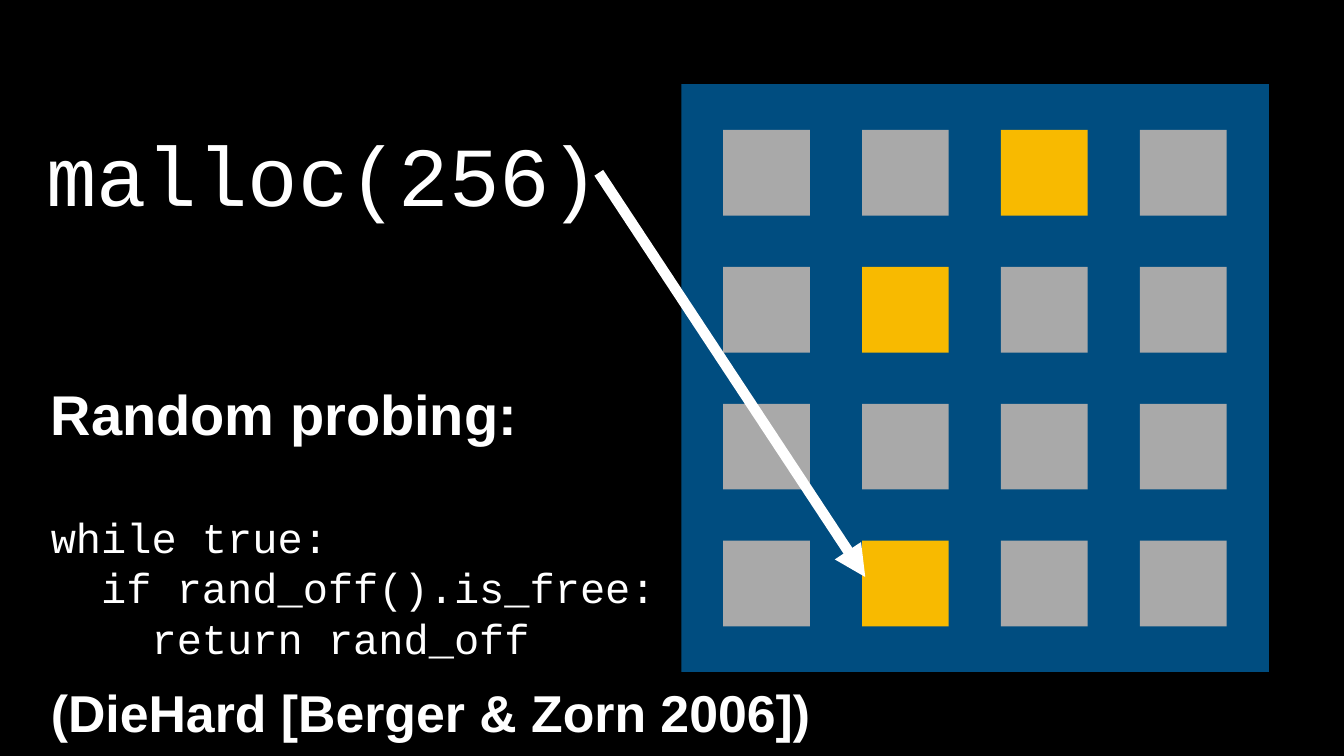
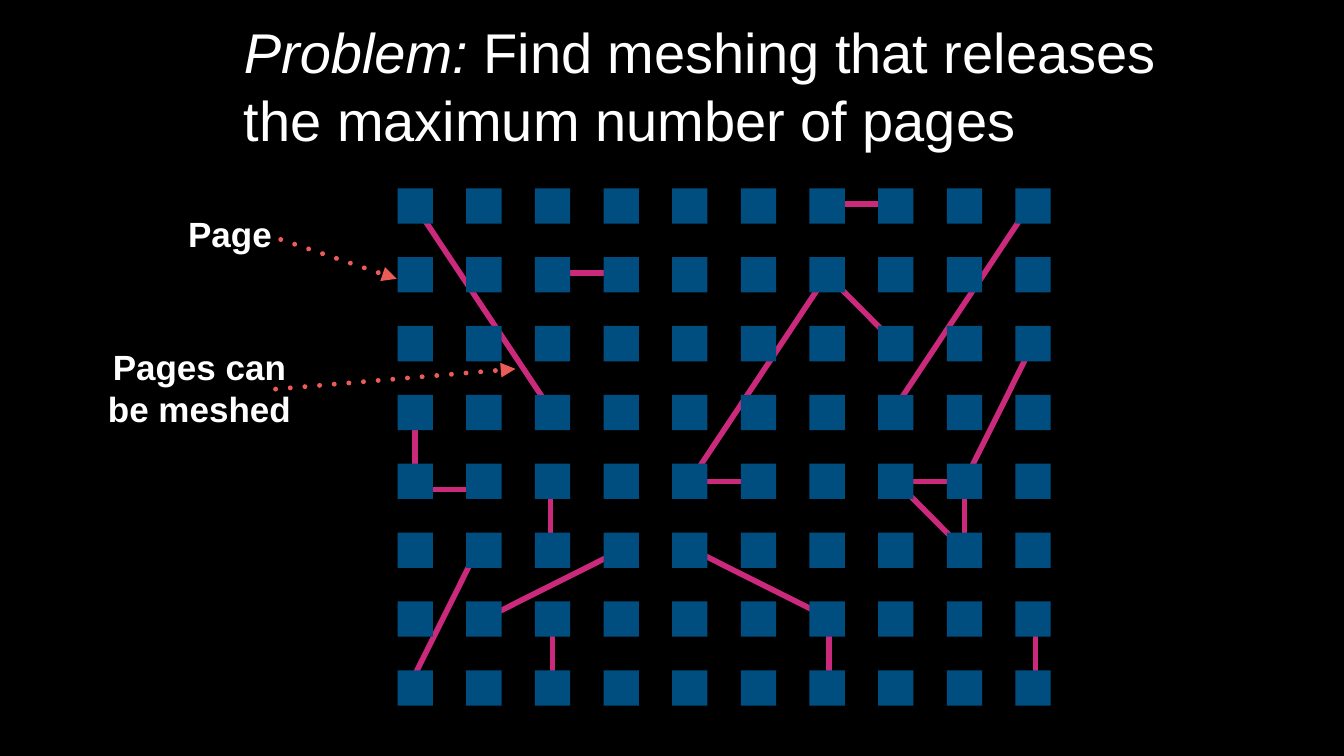
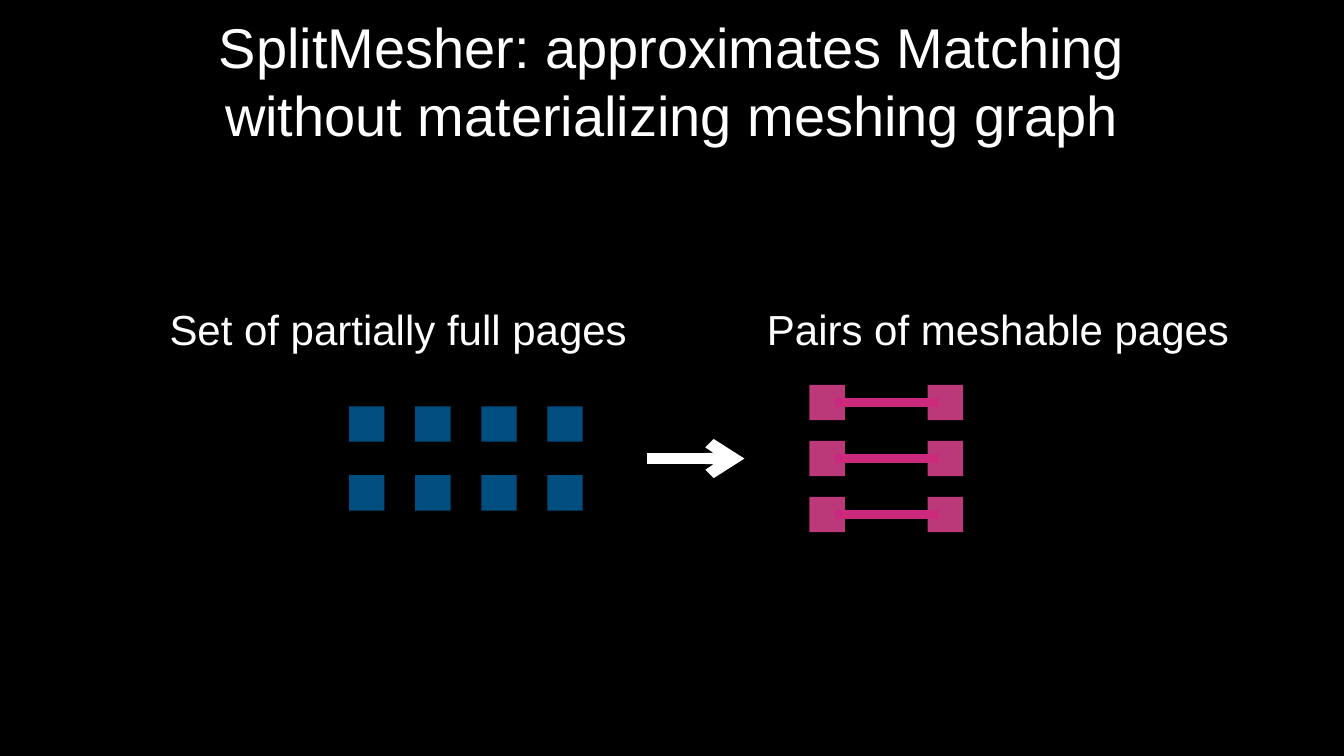
from itertools import product
from lxml.etree import SubElement
from pptx import Presentation
from pptx.dml.color import RGBColor
from pptx.enum.shapes import MSO_CONNECTOR, MSO_SHAPE
from pptx.enum.text import MSO_ANCHOR, MSO_AUTO_SIZE, PP_ALIGN
from pptx.oxml.ns import qn
from pptx.util import Cm, Pt

COLORS = {
    "black": "000000",
    "white": "FFFFFF",
    "blue": "004D80",
    "gray": "A9A9A9",
    "gold": "F8BA00",
    "pink": "CB297B",
    "rose": "BB3979",
    "coral": "EC5C57",
}
STYLES = {
    "call": ("Courier New", 120, False, False),
    "code": ("Courier New", 60, False, False),
    "title": ("Arial", 80, False, False),
    "slant": ("Arial", 80, False, True),
    "head": ("Arial", 80, True, False),
    "cite": ("Arial", 74, True, False),
    "note": ("Arial", 50, True, False),
    "label": ("Arial", 60, False, False),
}
LEFT, MID = PP_ALIGN.LEFT, PP_ALIGN.CENTER

CALL = [[("malloc(256)", "call")]]
PROBE = [
    [("Random probing:", "head")],
    [("while true:", "code")],
    [("  if rand_off().is_free:", "code")],
    [("    return rand_off", "code")],
]
CITE = [[("(DieHard [Berger & Zorn 2006])", "cite")]]
USED = [(2, 0), (1, 1), (1, 3)]

PROBLEM = [[
    ("Problem: ", "slant"),
    ("Find meshing that releases the maximum number of pages", "title"),
]]
NOTES = [
    ([[("Page", "note")]], (9.27, 10.49, 4.65, 2.51)),
    ([[("Pages can", "note")], [("be meshed", "note")]], (5.23, 17.2, 9.65, 4.62)),
]
HINTS = [((14.15, 12.07), (19.99, 14.05)), ((13.89, 19.61), (25.98, 18.59))]
EDGES = [
    ((5, 4), (4, 4), (0, 0)),
    ((2, 6), (2, 7), (0, 0)),
    ((2, 4), (2, 5), (-0.1, -0.4)),
    ((9, 0), (7, 3), (0, -0.3)),
    ((1, 5), (0, 7), (-0.35, 0)),
    ((0, 3), (0, 4), (0, 0)),
    ((3, 1), (2, 1), (0.2, -0.1)),
    ((1, 4), (0, 4), (0.3, 0.4)),
    ((7, 0), (6, 0), (0, -0.1)),
    ((4, 5), (6, 6), (0, -0.1)),
    ((6, 1), (7, 2), (0, 0)),
    ((6, 6), (6, 7), (0.1, 0)),
    ((9, 6), (9, 7), (0.12, 0)),
    ((6, 1), (4, 4), (0, 0)),
    ((9, 2), (8, 4), (0, 0)),
    ((0, 0), (2, 3), (0, 0)),
    ((7, 4), (8, 4), (0, 0)),
    ((8, 4), (8, 5), (0, 0)),
    ((7, 4), (8, 5), (0, 0)),
    ((1, 6), (3, 5), (0, 0)),
]

SPLIT = [[(
    "SplitMesher: approximates Matching without materializing meshing graph",
    "title",
)]]
LABELS = [
    ([[("Set of partially full pages", "label")]], (8.2, 15.09, 23.75, 2.95)),
    ([[("Pairs of meshable pages", "label")]], (38.33, 15.09, 23.95, 2.95)),
]
PAGE = 1.78
ROOT = (20.04, 9.49)
STEP = (3.46, 3.47)


def color(name):
    return RGBColor.from_string(COLORS[name])


def rect(shapes, box, fill):
    shape = shapes.add_shape(MSO_SHAPE.RECTANGLE, *map(Cm, box))
    shape.shadow.inherit = False
    shape.fill.solid()
    shape.fill.fore_color.rgb = color(fill)
    shape.line.fill.background()


def spot(root, step, cell):
    return [r + s * c for r, s, c in zip(root, step, cell)]


def grid(shapes, root, step, size, count, fill):
    for row, col in product(range(count[1]), range(count[0])):
        box = (*spot(root, step, (col, row)), *size)
        rect(shapes, box, fill((col, row)))


def link(shapes, start, end, hue, width, head=None, dots=False):
    line = shapes.add_connector(
        MSO_CONNECTOR.STRAIGHT, *map(Cm, (*start, *end)))
    line.line.color.rgb = color(hue)
    line.line.width = Pt(width)
    stroke = line.line._get_or_add_ln()
    if dots:
        stroke.set("cap", "rnd")
        dash = SubElement(stroke, qn("a:custDash"))
        SubElement(dash, qn("a:ds"), d="100000", sp="200000")
    if head:
        SubElement(stroke, qn("a:tailEnd"), type=head)
    SubElement(line._element.spPr, qn("a:effectLst"))


def write(shape, box, paras, align=LEFT, wrap=True, gaps=()):
    shape.left, shape.top, shape.width, shape.height = map(Cm, box)
    frame = shape.text_frame
    frame.auto_size = MSO_AUTO_SIZE.NONE
    frame.word_wrap = wrap
    frame.vertical_anchor = MSO_ANCHOR.MIDDLE
    frame.margin_left = frame.margin_right = Cm(0.2)
    frame.margin_top = frame.margin_bottom = Cm(0.2)
    for rank, runs in enumerate(paras):
        para = frame.add_paragraph() if rank else frame.paragraphs[0]
        props = para._p.get_or_add_pPr()
        props.set("marL", "0")
        props.set("indent", "0")
        SubElement(props, qn("a:buNone"))
        para.alignment = align
        para.space_before = Pt(dict(gaps).get(rank, 0))
        for text, style in runs:
            run = para.add_run()
            run.text = text
            font = run.font
            font.name, size, font.bold, font.italic = STYLES[style]
            font.size = Pt(size)
            font.color.rgb = color("white")


def label(slide, paras, box, align=MID, wrap=False):
    write(slide.shapes.add_textbox(0, 0, 0, 0), box, paras, align, wrap)


def add(deck, layout):
    return deck.slides.add_slide(deck.slide_layouts.get_by_name(layout))


def probing(deck):
    slide = add(deck, "Title and Content")
    shapes = slide.shapes
    write(shapes.title, (2.11, 6.12, 28.37, 5.21), CALL, MID, False)
    write(slide.placeholders[1], (2.36, 19.08, 33.38, 14.38), PROBE,
          gaps=[(1, 92)])
    rect(shapes, (34.34, 4.24, 29.62, 29.62), "blue")
    grid(shapes, (36.45, 6.55), (7, 6.9), (4.37, 4.32), (4, 4),
         lambda cell: "gold" if cell in USED else "gray")
    link(shapes, (30.18, 8.71), (43.61, 29.08), "white", 15, "triangle")
    label(slide, CITE, (2.36, 34.09, 39.55, 3.53), LEFT, True)


def problem(deck):
    slide = add(deck, "Title Only")
    shapes = slide.shapes
    write(shapes.title, (12.09, 0.71, 50.01, 7.16), PROBLEM)
    for start, end, shift in EDGES:
        ends = [[p + PAGE / 2 + s for p, s in zip(spot(ROOT, STEP, cell), shift)]
                for cell in (start, end)]
        link(shapes, *ends, "pink", 8)
    grid(shapes, ROOT, STEP, (PAGE, PAGE), (10, 8), lambda cell: "blue")
    for (paras, box), ends in zip(NOTES, HINTS):
        label(slide, paras, box)
        link(shapes, *ends, "coral", 7, "triangle", True)


def split(deck):
    slide = add(deck, "Title Only")
    shapes = slide.shapes
    write(shapes.title, (10.08, 0.46, 47.57, 7.16), SPLIT, MID)
    grid(shapes, (17.6, 20.48), (3.33, 3.47), (PAGE, PAGE), (4, 2),
         lambda cell: "blue")
    for row in range(3):
        top = 19.4 + 2.82 * row
        pair = shapes.add_group_shape().shapes
        grid(pair, (40.8, top), (5.96, 0), (PAGE, PAGE), (2, 1),
             lambda cell: "rose")
        mid = top + PAGE / 2
        link(pair, (47.32, mid), (42.11, mid), "pink", 12)
    link(shapes, (32.61, 23.11), (37.52, 23.11), "white", 16, "arrow")
    for paras, box in LABELS:
        label(slide, paras, box)


def main():
    deck = Presentation()
    deck.slide_width, deck.slide_height = Cm(67.74), Cm(38.1)
    back = deck.slide_master.background.fill
    back.solid()
    back.fore_color.rgb = color("black")
    for build in (probing, problem, split):
        build(deck)
    deck.save("out.pptx")


if __name__ == "__main__":
    main()
